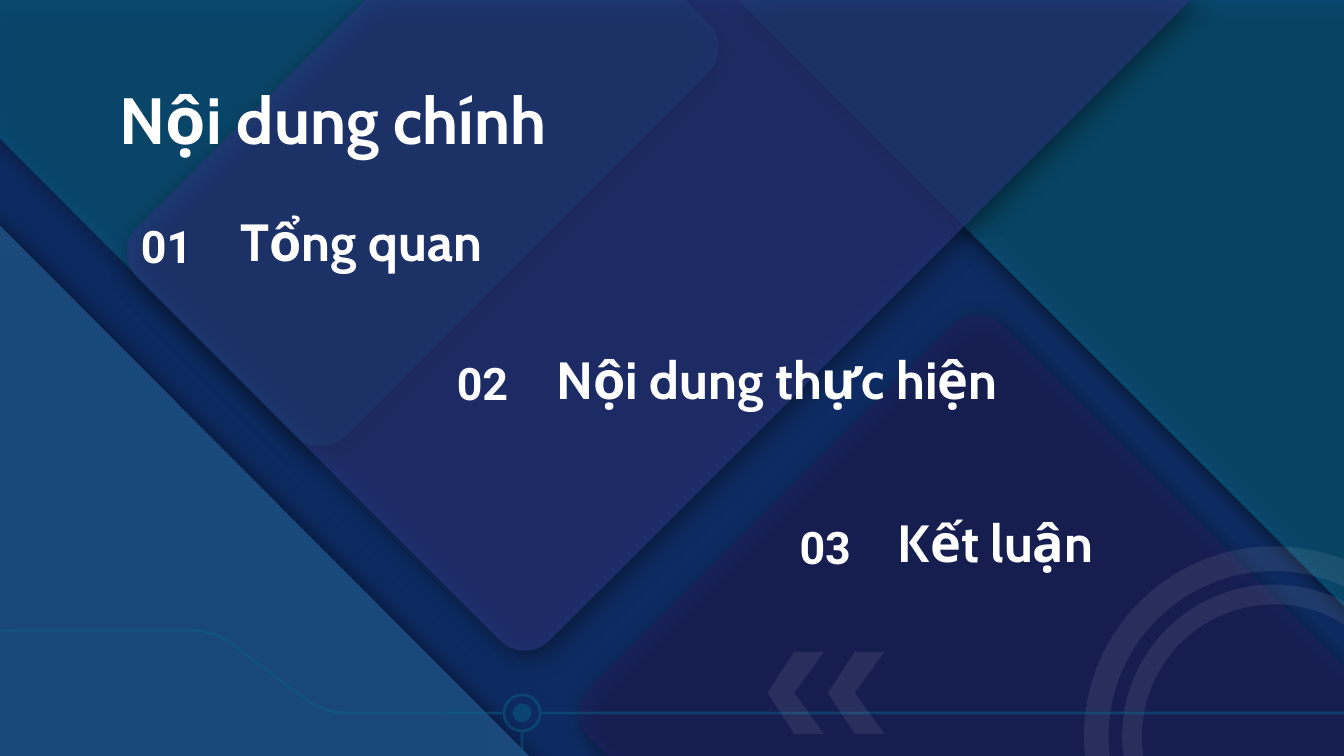
from math import dist
from lxml.etree import SubElement
from pptx import Presentation
from pptx.dml.color import RGBColor
from pptx.enum.shapes import MSO_CONNECTOR, MSO_SHAPE
from pptx.enum.text import MSO_ANCHOR, MSO_AUTO_SIZE, PP_ALIGN
from pptx.oxml.ns import qn
from pptx.util import Inches, Pt

# Grid: one cell is a tenth of an inch
CELL = Inches(0.1)
COLS, ROWS = 100, 56.25
PAGE = (0, 0, COLS, ROWS)
CUT = 2.6  # length taken off each side of a rounded corner
WHITE, TEAL = "FFFFFF", "0A5F85"
DEEP = (66, 13.5, 4.5, 55)  # shadow: alpha, blur, distance, angle
SOFT = (11, 39.4, 2.2, 106)

# Corners, fill, alpha, shadow
PANELS = [
    ([(101.2, 56.8), (101.2, 50.8), (72.75, 22.35), (42.05, 53.05), (45.8, 56.8)],
     "1D215B", 70, DEEP),
    ([(101.2, -0.5), (54.4, -0.5), (101.2, 46.3)], TEAL, 66, DEEP),
    ([(-1.2, -0.5), (-1.2, 9.1), (23.9, 34.3), (54.55, 3.55), (50.5, -0.5)],
     TEAL, 63, DEEP),
    ([(89.1, -0.5), (27.7, -0.5), (8.35, 18.8), (39.05, 49.5)], "2A377F", 63, DEEP),
    ([(-1.2, 15.6), (-1.2, 56.8), (39.9, 56.8)], "2D6386", 100, DEEP),
    ([(-1.2, 15.6), (-1.2, 56.8), (39.9, 56.8)], "154378", 77, SOFT),
]
# Box of each row, width of its number, start of its topic, topic
TOPICS = [
    ((7.9, 16.95, 41.6, 4.3), 9, 9, "Tổng quan"),
    ((31.3, 27.2, 46.7, 4.3), 9.2, 9.1, "Nội dung thực hiện"),
    ((56.8, 39.35, 42.5, 4.3), 9.2, 9, "Kết luận"),
]


def size(val):
    return round(val * CELL)


def paint(fill, tint, alpha=100):
    fill.solid()
    fill.fore_color.rgb = RGBColor.from_string(tint)
    if alpha < 100:
        node = fill._xPr.find(qn("a:solidFill"))[0]
        SubElement(node, qn("a:alpha"), val=str(alpha * 1000))


def shade(shape, alpha, blur, gap, angle):
    shape.shadow.inherit = False
    effects = shape._element.spPr.find(qn("a:effectLst"))
    node = SubElement(effects, qn("a:outerShdw"), blurRad=str(Pt(blur)),
                      dist=str(Pt(gap)), dir=str(angle * 60000),
                      algn="bl", rotWithShape="0")
    tint = SubElement(node, qn("a:srgbClr"), val="000000")
    SubElement(tint, qn("a:alpha"), val=str(alpha * 1000))


def plain(shape, tint, alpha):
    shape.shadow.inherit = False
    shape.line.fill.background()
    paint(shape.fill, tint, alpha)


def toward(a, b, span):
    part = span / dist(a, b)
    return tuple(p + (q - p) * part for p, q in zip(a, b))


def soften(prev, spot, after, cut):
    """Points of a curve that replaces one sharp corner."""
    ends = toward(spot, prev, cut), toward(spot, after, cut)
    pulls = [toward(spot, end, cut * 0.45) for end in ends]
    poles = ends[0], *pulls, ends[1]
    steps = 12
    for i in range(steps + 1):
        t = i / steps
        weights = (1 - t) ** 3, 3 * t * (1 - t) ** 2, 3 * t * t * (1 - t), t ** 3
        yield tuple(sum(w * p[k] for w, p in zip(weights, poles)) for k in (0, 1))


def trace(slide, box, spots, cut=CUT, closed=True):
    """Outline whose corners on the slide itself are rounded."""
    left, top = box[:2]
    route = []
    for i, (x, y) in enumerate(spots):
        tip = not closed and i in (0, len(spots) - 1)
        if 0 < x < COLS and 0 < y < ROWS and not tip:
            route += soften(spots[i - 1], (x, y), spots[(i + 1) % len(spots)], cut)
        else:
            route.append((x, y))
    return draw(slide, [(left + x, top + y) for x, y in route], closed)


def draw(slide, route, closed=True):
    fine = [(x * 1000, y * 1000) for x, y in route]
    pen = slide.shapes.build_freeform(*fine[0], scale=CELL / 1000)
    pen.add_line_segments(fine[1:], close=closed)
    return pen.convert_to_shape()


def panels(slide, box):
    for spots, tint, alpha, cast in PANELS:
        shape = trace(slide, box, spots)
        plain(shape, tint, alpha)
        shade(shape, *cast)


def disc(slide, kind, mid, width, tint, alpha, rim=None):
    left, top = (size(c - width / 2) for c in mid)
    shape = slide.shapes.add_shape(kind, left, top, size(width), size(width))
    if rim:
        shape.adjustments[0] = rim
    plain(shape, tint, alpha)


def rings(slide, mid):
    for width in (28.3, 22.6):
        disc(slide, MSO_SHAPE.DONUT, mid, width, WHITE, 8, 0.065)


def circuit(slide, mid):
    x, y = mid
    rim = 1.45
    disc(slide, MSO_SHAPE.DONUT, mid, 2 * rim, TEAL, 50, 0.07)
    disc(slide, MSO_SHAPE.OVAL, mid, 1.4, TEAL, 50)
    # Bent wire on the left
    wire = trace(slide, PAGE, [(-0.6, y - 6.15), (15.9, y - 6.15), (24.1, y),
                               (x - rim, y)], cut=1.5, closed=False)
    wire.fill.background()
    wire.shadow.inherit = False
    wires = [wire]
    # Straight wires to the right and down
    for ends in ((x + rim, y, COLS, y), (x, y + rim, x, ROWS)):
        line = slide.shapes.add_connector(MSO_CONNECTOR.STRAIGHT, *map(size, ends))
        wires.append(line)
    for line in wires:
        line.line.width = Pt(1.5)
        paint(line.line.fill, TEAL, 50)
    for line in wires[1:]:
        SubElement(line._element.spPr, qn("a:effectLst"))


def chevrons(slide, box):
    left, top, wide, high = box
    arm, bar = 4.2, 2.2
    for x in (left + wide - arm, left):
        route = [(x + arm, top), (x + arm - bar, top + high / 2),
                 (x + arm, top + high), (x + arm - bar, top + high),
                 (x, top + high / 2), (x + arm - bar, top)]
        plain(draw(slide, route), WHITE, 8)


def write(shape, box, text, font, points, align=PP_ALIGN.LEFT,
          anchor=MSO_ANCHOR.BOTTOM):
    shape.left, shape.top, shape.width, shape.height = map(size, box)
    frame = shape.text_frame
    frame.word_wrap = True
    frame.auto_size = MSO_AUTO_SIZE.NONE
    frame.vertical_anchor = anchor
    frame.margin_left = frame.margin_right = size(1)
    frame.margin_top = frame.margin_bottom = size(1)
    para = frame.paragraphs[0]
    para.alignment = align
    para.space_before = Pt(0)
    props = para._p.get_or_add_pPr()
    props.set("marL", "0")
    props.set("indent", "0")
    SubElement(props, qn("a:buNone"))
    run = para.add_run()
    run.text = text
    run.font.name, run.font.size, run.font.bold = font, Pt(points), True
    run.font.color.rgb = RGBColor.from_string(WHITE)


def topic(slide, holder, box, wide, step, mark, text):
    left, top, full, high = box
    label = slide.shapes.add_textbox(0, 0, 0, 0)
    write(label, (left, top, wide, high), mark, "Roboto", 24, PP_ALIGN.CENTER)
    write(holder, (left + step, top, full - step, high), text, "Cabin", 28)


def main():
    deck = Presentation()
    deck.slide_width, deck.slide_height = size(COLS), size(ROWS)
    slide = deck.slides.add_slide(deck.slide_layouts[4])
    paint(slide.background.fill, "0E2C63")
    title, *bodies = slide.placeholders

    # Backdrop
    panels(slide, PAGE)
    rings(slide, (94.8, 54.8))
    circuit(slide, (38.85, 53.05))

    # Text, in front of the backdrop
    tree = slide.shapes._spTree
    for holder in (title, *bodies):
        tree.remove(holder._element)
    for holder in (title, *bodies[:len(TOPICS)]):
        tree.append(holder._element)
    write(title, (7.9, 4.9, 84.3, 6.3), "Nội dung chính", "Cabin", 35,
          anchor=MSO_ANCHOR.TOP)
    for num, (holder, row) in enumerate(zip(bodies, TOPICS), 1):
        box, wide, step, text = row
        topic(slide, holder, box, wide, step, f"{num:02}", text)

    chevrons(slide, (57.1, 48.5, 8.7, 6.1))
    deck.save("out.pptx")


if __name__ == "__main__":
    main()
